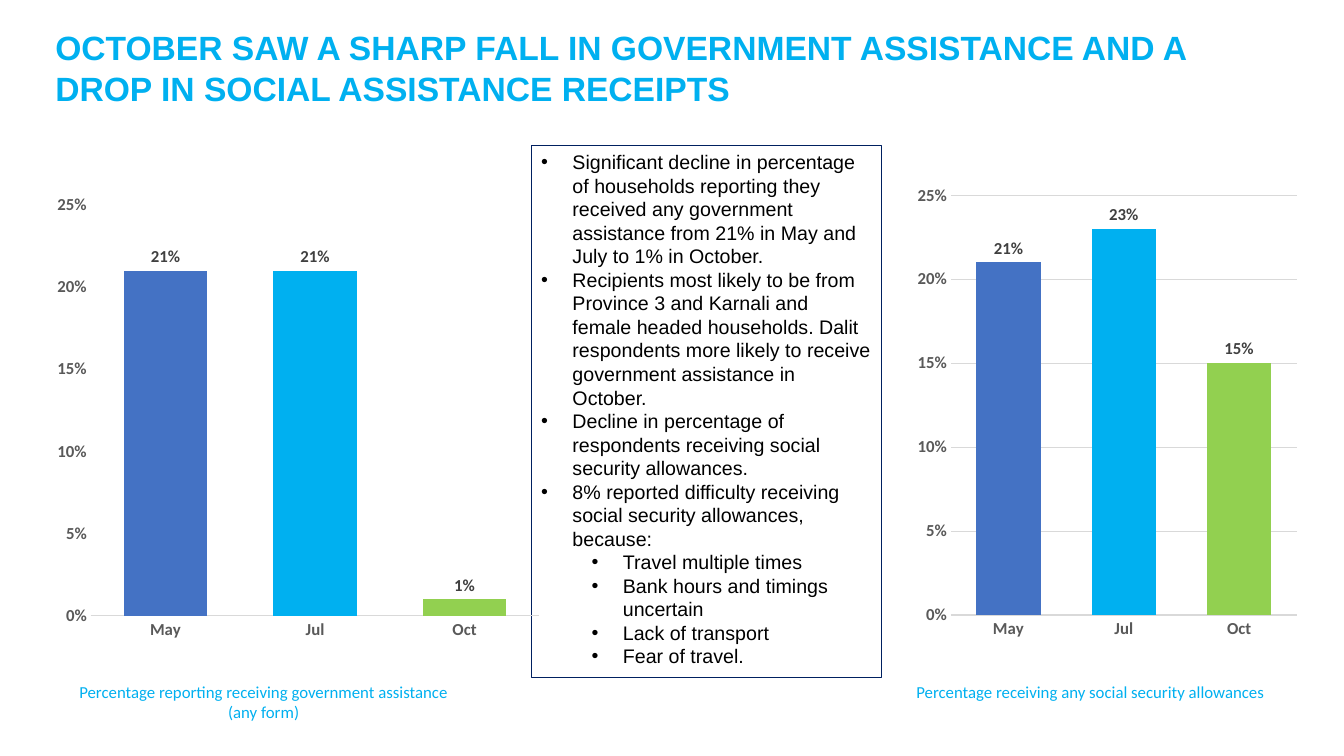
import pptx
import pptx.util
import pptx.chart.data
import pptx.dml.color
import pptx.enum.chart
import pptx.enum.shapes
import pptx.enum.text
import pptx.oxml

Pt = pptx.util.Pt
RGB = pptx.dml.color.RGBColor
ALIGN = pptx.enum.text.PP_ALIGN
CYAN = RGB(0x00, 0xB0, 0xF0)
BLUE = RGB(0x44, 0x72, 0xC4)
GREEN = RGB(0x92, 0xD0, 0x50)
NAVY = RGB(0x00, 0x20, 0x60)
BLACK = RGB(0x00, 0x00, 0x00)
DARK = RGB(0x40, 0x40, 0x40)
GREY = RGB(0x59, 0x59, 0x59)
PALE = RGB(0xD9, 0xD9, 0xD9)
PX = 9144  # 100 px to the inch
CHART_NS = "http://schemas.openxmlformats.org/drawingml/2006/chart"

deck = pptx.Presentation()
deck.slide_width, deck.slide_height = 1333 * PX, 750 * PX
slide = deck.slides.add_slide(deck.slide_layouts[6])


def style(font, size, face, color, bold=False):
    font.size, font.name, font.bold = Pt(size), face, bold
    font.color.rgb = color


# Findings box
box = slide.shapes.add_shape(pptx.enum.shapes.MSO_SHAPE.RECTANGLE,
                             527 * PX, 144 * PX, 347 * PX, 528 * PX)
box.shadow.inherit = False
box.fill.background()
box.line.color.rgb = NAVY
box.line.width = Pt(0.75)
frame = box.text_frame
frame.word_wrap = True
frame.vertical_anchor = pptx.enum.text.MSO_ANCHOR.TOP

points = [
    (0, "Significant decline in percentage of households reporting they received "
        "any government assistance from 21% in May and July to 1% in October."),
    (0, "Recipients most likely to be from Province 3 and Karnali and female headed "
        "households. Dalit respondents more likely to receive government "
        "assistance in October."),
    (0, "Decline in percentage of respondents receiving social security allowances."),
    (0, "8% reported difficulty receiving social security allowances, because:"),
    (1, "Travel multiple times"),
    (1, "Bank hours and timings uncertain"),
    (1, "Lack of transport"),
    (1, "Fear of travel."),
]
frame.text = "\n".join(text for level, text in points)
for para, (level, text) in zip(frame.paragraphs, points):
    para.level = level
    para.alignment = ALIGN.LEFT
    props = para._p.get_or_add_pPr()
    props.set("marL", str((31 + 50 * level) * PX))
    props.set("indent", str(-31 * PX))
    props.append(pptx.oxml.parse_xml(
        '<a:buFont xmlns:a="http://schemas.openxmlformats.org/drawingml/2006/main" '
        'typeface="Arial"/>'))
    props.append(pptx.oxml.parse_xml(
        '<a:buChar xmlns:a="http://schemas.openxmlformats.org/drawingml/2006/main" '
        'char="•"/>'))
    style(para.runs[0].font, 14, "Arial", BLACK)

# Title and chart captions
labels = [
    ("OCTOBER SAW A SHARP FALL IN GOVERNMENT ASSISTANCE AND A DROP IN SOCIAL "
     "ASSISTANCE RECEIPTS", (45, 22, 1212, 91), 24, "Arial", True, ALIGN.LEFT),
    ("Percentage reporting receiving government assistance (any form)",
     (54, 671, 415, 50), 12, "Calibri", False, ALIGN.CENTER),
    ("Percentage receiving any social security allowances",
     (874, 671, 415, 30), 12, "Calibri", False, ALIGN.CENTER),
]
for text, place, size, face, bold, align in labels:
    label = slide.shapes.add_textbox(*[n * PX for n in place])
    label.text_frame.word_wrap = True
    label.text_frame.text = text
    para = label.text_frame.paragraphs[0]
    para.alignment = align
    style(para.runs[0].font, size, face, CYAN, bold)

# Column charts: place, values, gridlines, plot area as shares of the chart
charts = [
    ((45, 185, 500, 458), (0.21, 0.21, 0.01), False, (0.09, 0.04, 0.89, 0.89)),
    ((904, 175, 390, 468), (0.21, 0.23, 0.15), True, (0.1, 0.04, 0.88, 0.89)),
]
for place, values, grid, inner in charts:
    data = pptx.chart.data.CategoryChartData(number_format="0%")
    data.categories = ["May", "Jul", "Oct"]
    data.add_series("Series 1", values)
    chart = slide.shapes.add_chart(
        pptx.enum.chart.XL_CHART_TYPE.COLUMN_CLUSTERED,
        *[n * PX for n in place], data).chart
    chart.has_legend = chart.has_title = False
    style(chart.font, 12, "Calibri", BLACK, True)

    # Axes
    for axis in (chart.category_axis, chart.value_axis):
        axis.major_tick_mark = pptx.enum.chart.XL_TICK_MARK.NONE
        axis.minor_tick_mark = pptx.enum.chart.XL_TICK_MARK.NONE
        style(axis.tick_labels.font, 12, "Calibri", GREY, True)
    base, scale = chart.category_axis, chart.value_axis
    base.format.line.color.rgb = PALE
    base.format.line.width = Pt(0.75)
    scale.format.line.fill.background()
    scale.minimum_scale, scale.maximum_scale, scale.major_unit = 0, 0.25, 0.05
    scale.tick_labels.number_format = "0%"
    scale.tick_labels.number_format_is_linked = False
    scale.has_major_gridlines = grid
    if grid:
        scale.major_gridlines.format.line.color.rgb = PALE
        scale.major_gridlines.format.line.width = Pt(0.75)

    # Columns and their labels
    plot = chart.plots[0]
    plot.gap_width, plot.overlap = 79, -27
    plot.vary_by_categories = False
    series = plot.series[0]
    series.format.fill.solid()
    series.format.fill.fore_color.rgb = BLUE
    for index, color in ((1, CYAN), (2, GREEN)):
        fill = series.points[index].format.fill
        fill.solid()
        fill.fore_color.rgb = color
    tags = series.data_labels
    tags.show_value = True
    tags.number_format = "0%"
    tags.number_format_is_linked = False
    tags.position = pptx.enum.chart.XL_LABEL_POSITION.OUTSIDE_END
    style(tags.font, 12, "Calibri", DARK, True)

    # Plot area
    area = chart._chartSpace.chart.plotArea
    for old in area.findall("{%s}layout" % CHART_NS):
        area.remove(old)
    sizes = "".join('<c:%s val="%s"/>' % pair for pair in zip("xywh", inner))
    area.insert(0, pptx.oxml.parse_xml(
        '<c:layout xmlns:c="%s"><c:manualLayout><c:layoutTarget val="inner"/>'
        '<c:xMode val="edge"/><c:yMode val="edge"/>%s</c:manualLayout></c:layout>'
        % (CHART_NS, sizes)))

deck.save("out.pptx")
